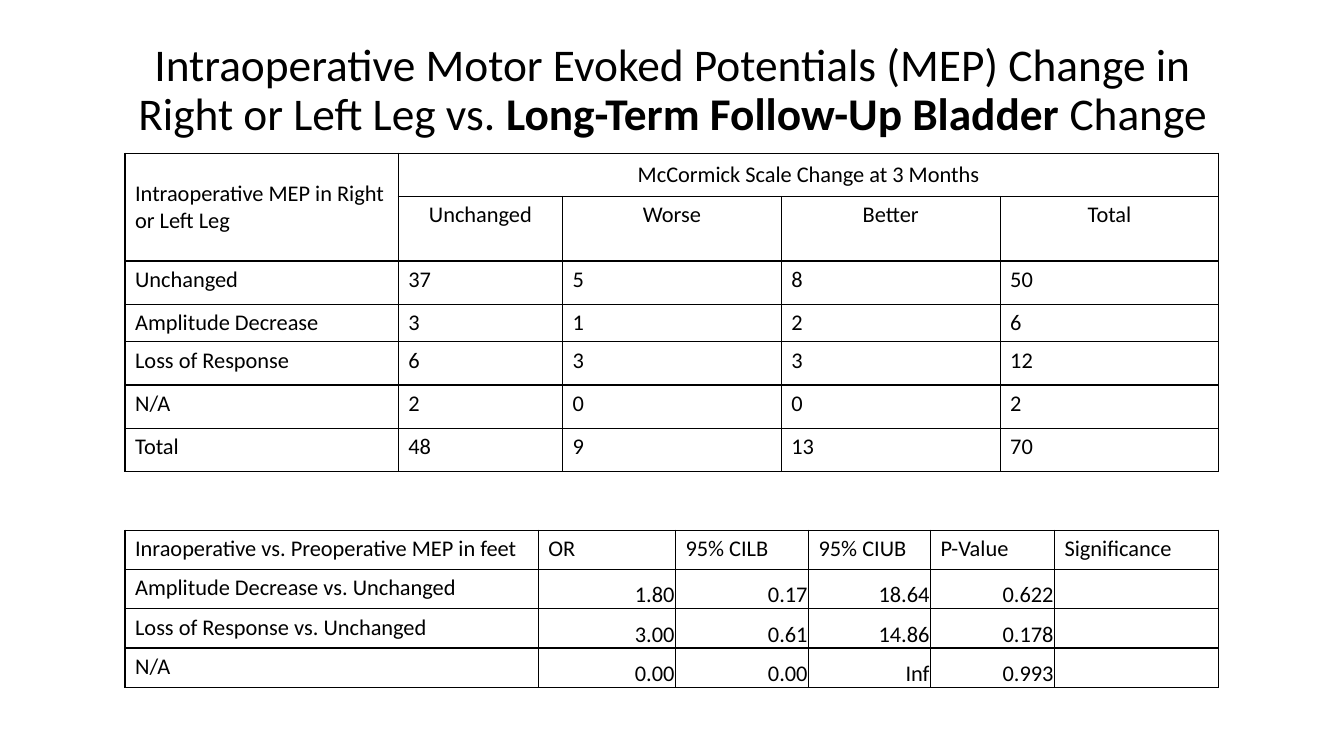
from dataclasses import dataclass

from lxml.etree import SubElement
from pptx import Presentation
from pptx.dml.color import RGBColor as RGB
from pptx.enum.text import MSO_ANCHOR as ANCHOR, PP_ALIGN as ALIGN
from pptx.oxml.ns import qn
from pptx.util import Inches, Pt


@dataclass(frozen=True)
class Theme:
    font: str = "Calibri"
    ink: RGB = RGB(0, 0, 0)
    title: float = 32.4
    body: float = 16
    rule: float = 1


THEME = Theme()

TITLE = [
    ("Intraoperative Motor Evoked Potentials (MEP) Change in Right or Left Leg vs. ", False),
    ("Long-Term Follow-Up Bladder ", True),
    ("Change", False),
]
SCALE = [
    ["Intraoperative MEP in Right or Left Leg", "McCormick Scale Change at 3 Months", "", "", ""],
    ["", "Unchanged", "Worse", "Better", "Total"],
    ["Unchanged", "37", "5", "8", "50"],
    ["Amplitude Decrease", "3", "1", "2", "6"],
    ["Loss of Response", "6", "3", "3", "12"],
    ["N/A", "2", "0", "0", "2"],
    ["Total", "48", "9", "13", "70"],
]
ODDS = [
    ["Inraoperative vs. Preoperative MEP in feet", "OR", "95% CILB", "95% CIUB", "P-Value",
     "Significance"],
    ["Amplitude Decrease vs. Unchanged", "1.80", "0.17", "18.64", "0.622", ""],
    ["Loss of Response vs. Unchanged", "3.00", "0.61", "14.86", "0.178", ""],
    ["N/A", "0.00", "0.00", "Inf", "0.993", ""],
]


def write(para, text, size=THEME.body, bold=False, align=ALIGN.LEFT):
    para.alignment = align
    run = para.add_run()
    run.text = text
    font = run.font
    font.name, font.size, font.bold = THEME.font, Pt(size), bold
    font.color.rgb = THEME.ink


def outline(cell):
    """Draw a thin line on all four sides of the cell."""
    props = cell._tc.get_or_add_tcPr()
    for i, side in enumerate(("lnL", "lnR", "lnT", "lnB")):
        line = props.makeelement(qn(f"a:{side}"), {"w": str(Pt(THEME.rule))})
        fill = SubElement(line, qn("a:solidFill"))
        SubElement(fill, qn("a:srgbClr"), val=str(THEME.ink))
        props.insert(i, line)


def add_title(slide, left, top, width, height):
    frame = slide.shapes.add_textbox(
        Inches(left), Inches(top), Inches(width), Inches(height)).text_frame
    frame.word_wrap = True
    frame.vertical_anchor = ANCHOR.MIDDLE
    para = frame.paragraphs[0]
    para.line_spacing = 0.9
    for text, bold in TITLE:
        write(para, text, size=THEME.title, bold=bold, align=ALIGN.CENTER)


def add_grid(slide, left, top, cols, rows):
    """Add an unfilled, ruled table with the given column widths and row heights."""
    table = slide.shapes.add_table(
        len(rows), len(cols), Inches(left), Inches(top),
        Inches(sum(cols)), Inches(sum(rows))).table
    table.first_row = table.horz_banding = False
    for col, width in zip(table.columns, cols):
        col.width = Inches(width)
    for row, height in zip(table.rows, rows):
        row.height = Inches(height)
    for cell in table.iter_cells():
        cell.fill.background()
        outline(cell)
    return table


def add_scale(slide, left, top):
    table = add_grid(slide, left, top, [2.71, 1.63] + [2.17] * 3,
                     [0.43, 0.64, 0.43, 0.37] + [0.43] * 3)
    table.cell(0, 0).merge(table.cell(1, 0))
    table.cell(0, 1).merge(table.cell(0, 4))
    for r, row in enumerate(SCALE):
        for c, text in enumerate(row):
            cell = table.cell(r, c)
            if cell.is_spanned:
                continue
            if r == 0:
                cell.vertical_anchor = ANCHOR.MIDDLE
            head = r < 2 and c > 0
            write(cell.text_frame.paragraphs[0], text,
                  align=ALIGN.CENTER if head else ALIGN.LEFT)


def add_odds(slide, left, top):
    table = add_grid(slide, left, top, [4.1, 1.36, 1.32, 1.21, 1.23, 1.63], [0.39] * 4)
    for r, row in enumerate(ODDS):
        for c, text in enumerate(row):
            cell = table.cell(r, c)
            value = r > 0 and c > 0
            if value:
                cell.vertical_anchor = ANCHOR.BOTTOM
                cell.margin_left = cell.margin_right = cell.margin_top = Inches(0.01)
                cell.margin_bottom = 0
            write(cell.text_frame.paragraphs[0], text,
                  align=ALIGN.RIGHT if value else ALIGN.LEFT)


def main():
    deck = Presentation()
    deck.slide_width, deck.slide_height = Inches(13.33), Inches(7.5)
    slide = deck.slides.add_slide(deck.slide_layouts[6])
    add_title(slide, 0.92, 0.29, 11.5, 1.23)
    add_scale(slide, 1.24, 1.52)
    add_odds(slide, 1.24, 5.26)
    deck.save("out.pptx")


if __name__ == "__main__":
    main()
